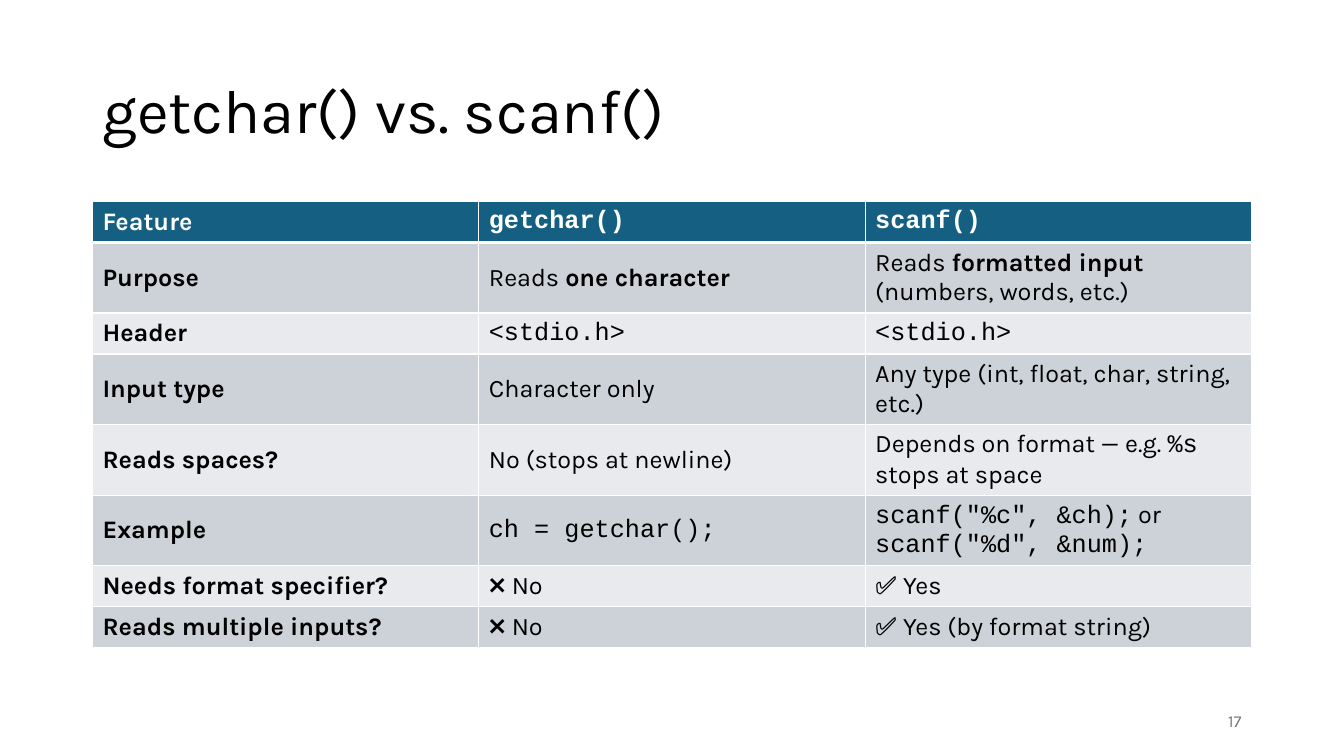
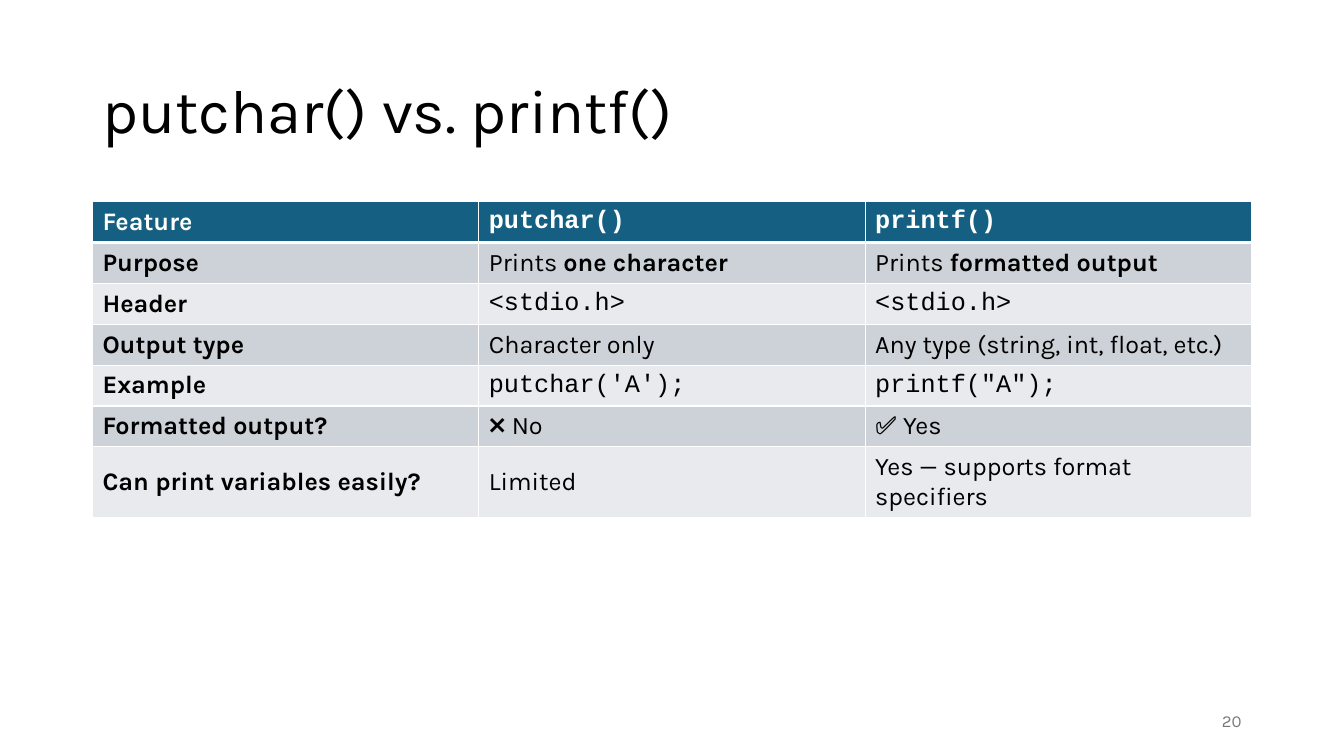
from lxml import etree
from pptx import Presentation
from pptx.dml.color import RGBColor
from pptx.enum.text import MSO_ANCHOR, PP_ALIGN
from pptx.oxml.ns import qn
from pptx.util import Cm, Pt

MIDDLE = MSO_ANCHOR.MIDDLE
LEFT, RIGHT = PP_ALIGN.LEFT, PP_ALIGN.RIGHT
SANS, MONO = "Karla", "Courier New"
COLORS = {
    "white": "FFFFFF",
    "black": "000000",
    "head": "156082",
    "odd": "CCD2D8",
    "even": "E8EAED",
    "gray": "797979",
}
EDGE, WIDTH = Cm(2.33), Cm(29.21)
ROW = Cm(1.03)

SLIDES = [
    ("getchar() vs. scanf()", "17", [
        ("Feature", "`getchar()`", "`scanf()`"),
        ("Purpose", "Reads *one character*",
         "Reads *formatted input* (numbers, words, etc.)"),
        ("Header", "`<stdio.h>`", "`<stdio.h>`"),
        ("Input type", "Character only",
         "Any type (int, float, char, string, etc.)"),
        ("Reads spaces?", "No (stops at newline)",
         "Depends on format — e.g. `%s` stops at space"),
        ("Example", "`ch = getchar();`",
         '`scanf("%c", &ch);` or `scanf("%d", &num);`'),
        ("Needs format specifier?", "❌ No", "✅ Yes"),
        ("Reads multiple inputs?", "❌ No", "✅ Yes (by format string)"),
    ]),
    ("putchar() vs. printf()", "20", [
        ("Feature", "`putchar()`", "`printf()`"),
        ("Purpose", "Prints *one character*", "Prints *formatted output*"),
        ("Header", "`<stdio.h>`", "`<stdio.h>`"),
        ("Output type", "Character only",
         "Any type (string, int, float, etc.)"),
        ("Example", "`putchar('A');`", '`printf("A");`'),
        ("Formatted output?", "❌ No", "✅ Yes"),
        ("Can print variables easily?", "Limited",
         "Yes — supports format specifiers"),
    ]),
]


def write(frame, text, size=18, color="black", bold=False, align=LEFT, space=1.0):
    """Write text in which `ticks` mark code and *stars* mark bold."""
    frame.word_wrap = True
    para = frame.paragraphs[0]
    para.alignment = align
    para.line_spacing = space
    for i, chunk in enumerate(text.split("`")):
        for j, part in enumerate(chunk.split("*")):
            if part:
                run = para.add_run()
                run.text = part
                font = run.font
                font.name = MONO if i % 2 else SANS
                font.size = Pt(size)
                font.bold = bold or j % 2 == 1
                font.color.rgb = RGBColor.from_string(COLORS[color])


def border(cell, side, width):
    line = etree.SubElement(cell._tc.get_or_add_tcPr(), qn("a:ln" + side),
                            w=str(Pt(width)))
    fill = etree.SubElement(line, qn("a:solidFill"))
    etree.SubElement(fill, qn("a:srgbClr"), val=COLORS["white"])


deck = Presentation()
deck.slide_width, deck.slide_height = Cm(33.87), Cm(19.05)
blank = deck.slide_layouts[6]

for title, number, rows in SLIDES:
    slide = deck.slides.add_slide(blank)

    box = slide.shapes.add_textbox(EDGE, Cm(1.01), WIDTH, Cm(3.68))
    box.text_frame.vertical_anchor = MIDDLE
    write(box.text_frame, title, size=44, space=0.9)

    table = slide.shapes.add_table(len(rows), 3, EDGE, Cm(5.08), WIDTH,
                                   ROW * len(rows)).table
    for r, row in enumerate(rows):
        table.rows[r].height = ROW
        head = r == 0
        shade = "head" if head else "odd" if r % 2 else "even"
        for c, text in enumerate(row):
            cell = table.cell(r, c)
            cell.vertical_anchor = MIDDLE
            write(cell.text_frame, text, bold=head or c == 0,
                  color="white" if head else "black")
            for side in "LRTB":
                thick = (r, side) in [(0, "B"), (1, "T")]
                border(cell, side, 3 if thick else 1)
            cell.fill.solid()
            cell.fill.fore_color.rgb = RGBColor.from_string(COLORS[shade])

    foot = slide.shapes.add_textbox(Cm(23.92), Cm(17.66), Cm(7.62), Cm(1.01))
    foot.text_frame.vertical_anchor = MIDDLE
    write(foot.text_frame, number, size=12, color="gray", align=RIGHT)

deck.save("out.pptx")
